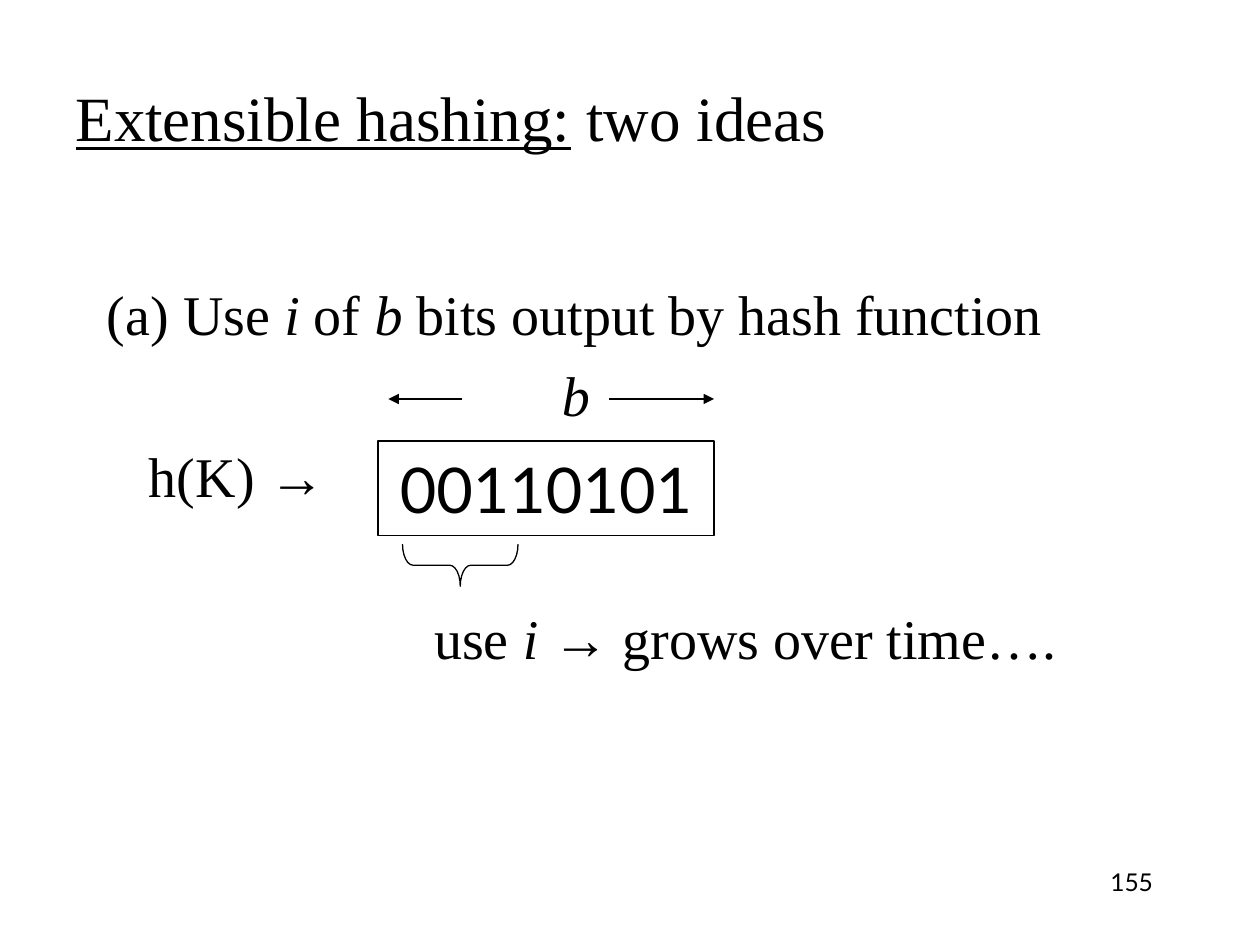
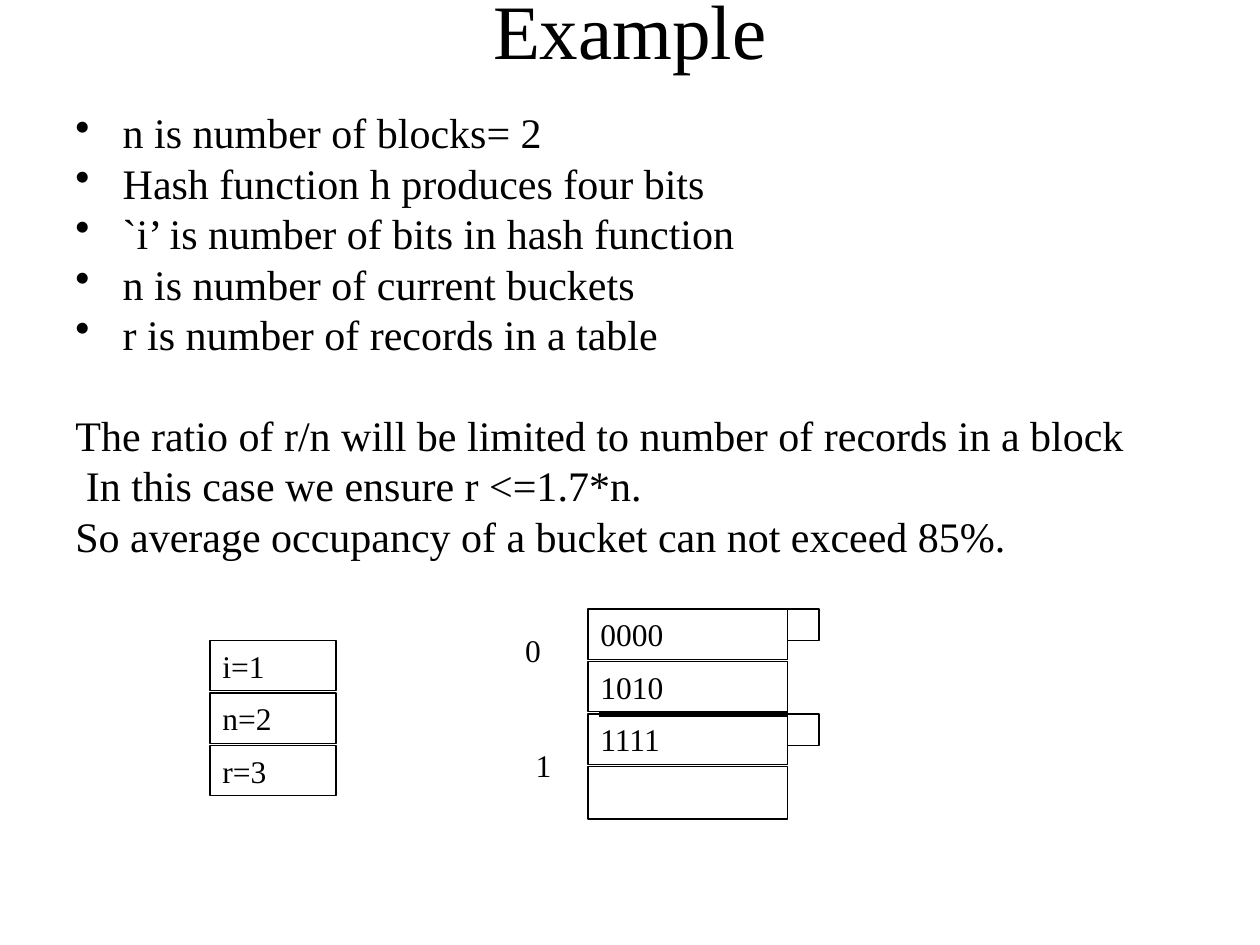
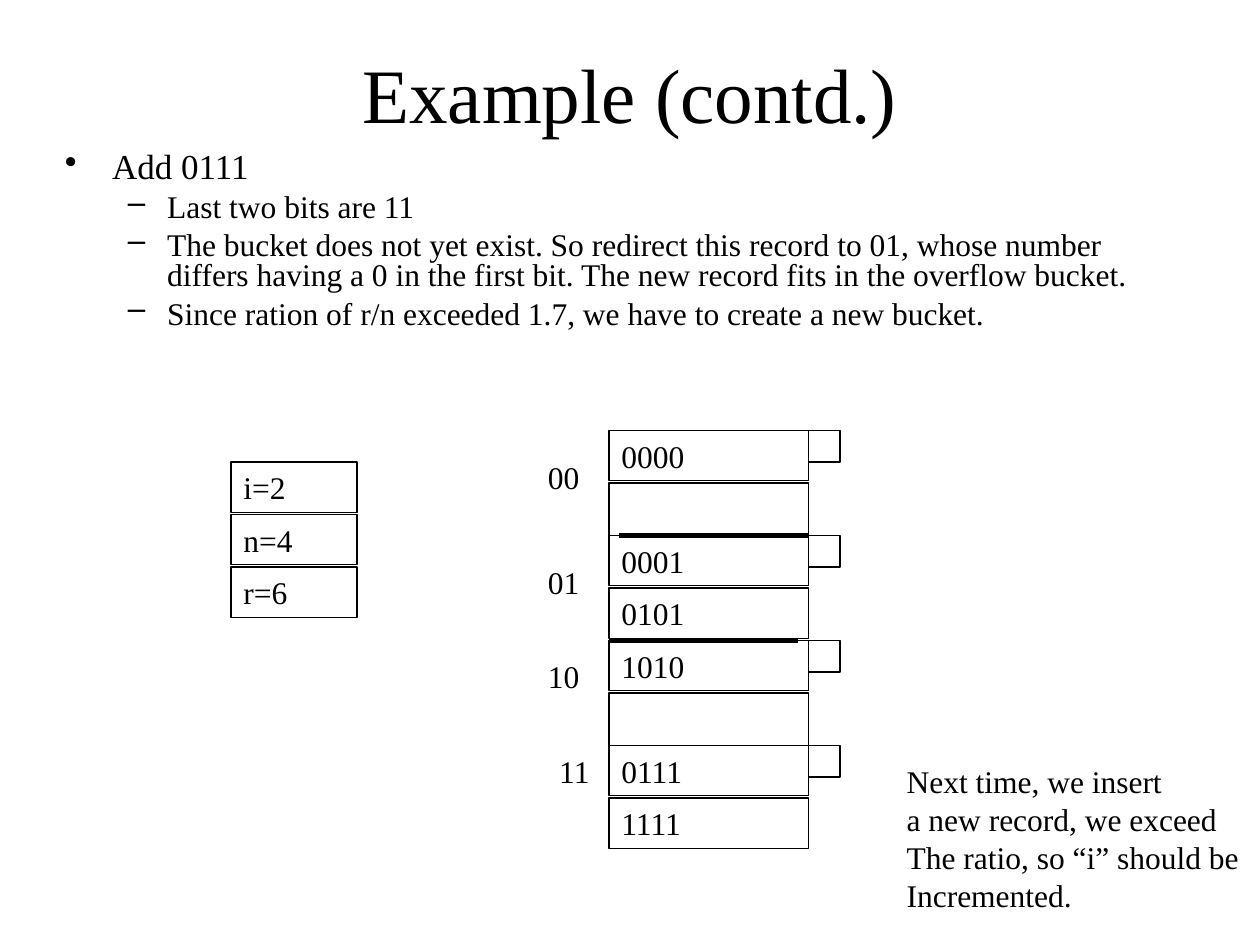
from dataclasses import dataclass

from lxml import etree
from pptx import Presentation
from pptx.dml.color import RGBColor
from pptx.enum.shapes import MSO_CONNECTOR, MSO_SHAPE
from pptx.enum.text import MSO_ANCHOR, MSO_AUTO_SIZE, PP_ALIGN
from pptx.oxml.ns import qn
from pptx.util import Pt

LEFT, CENTER, RIGHT = PP_ALIGN.LEFT, PP_ALIGN.CENTER, PP_ALIGN.RIGHT
TOP, MIDDLE = MSO_ANCHOR.TOP, MSO_ANCHOR.MIDDLE
NO_AUTOFIT = MSO_AUTO_SIZE.NONE
RECTANGLE, BRACE = MSO_SHAPE.RECTANGLE, MSO_SHAPE.RIGHT_BRACE
STRAIGHT = MSO_CONNECTOR.STRAIGHT


@dataclass(frozen=True)
class Theme:
    ink: RGBColor = RGBColor(0, 0, 0)
    paper: RGBColor = RGBColor(255, 255, 255)
    serif: str = "Times New Roman"
    sans: str = "Lato"
    symbol: str = "Arial"
    title: int = 44
    heading: int = 36
    statement: int = 32
    body: int = 24
    point: int = 20
    small: int = 18
    page_number: int = 14
    hairline: float = 0.75
    divider: float = 3
    leading: float = 1.2
    tight_leading: float = 0.96


THEME = Theme()
ITALIC = {"italic": True}
ARROW = {"name": THEME.symbol}


def write(frame, paragraphs, size, font=THEME.serif, align=LEFT, anchor=TOP, leading=THEME.leading):
    """Fill a frame; a paragraph is a string or a dict of runs, left, hang, bullet, before and size."""
    frame.word_wrap = True
    frame.auto_size = NO_AUTOFIT
    frame.vertical_anchor = anchor
    for index, content in enumerate(paragraphs):
        if isinstance(content, str):
            content = {"runs": [(content, {})]}
        paragraph = frame.paragraphs[0] if index == 0 else frame.add_paragraph()
        text_size = content.get("size", size)
        paragraph.alignment = align
        paragraph.line_spacing = Pt(text_size * leading)
        paragraph.space_before = Pt(content.get("before", 0))
        properties = paragraph._p.get_or_add_pPr()
        properties.set("marL", str(Pt(content.get("left", 0))))
        properties.set("indent", str(-Pt(content.get("hang", 0))))
        if "bullet" in content:
            etree.SubElement(properties, qn("a:buChar")).set("char", content["bullet"])
        for text, changes in content["runs"]:
            run = paragraph.add_run()
            run.text = text
            run.font.color.rgb = THEME.ink
            for attribute, value in {"name": font, "size": Pt(text_size), **changes}.items():
                setattr(run.font, attribute, value)


def add_line(slide, start, end, width, arrow=False):
    line = slide.shapes.add_connector(STRAIGHT, *map(Pt, start + end))
    line.line.color.rgb = THEME.ink
    line.line.width = Pt(width)
    if arrow:
        etree.SubElement(line.line._get_or_add_ln(), qn("a:tailEnd")).set("type", "triangle")
    etree.SubElement(line._element.spPr, qn("a:effectLst"))


prs = Presentation()
prs.slide_width, prs.slide_height = Pt(720), Pt(540)

# Titles
titles = [
    ((36, 21.6, 648, 90), THEME.heading, LEFT,
     {"runs": [("Extensible hashing:", {"underline": True}), (" two ideas", {})]}),
    ((36, 0.7, 648, 31.7), THEME.title, CENTER, "Example"),
    ((36, 21.6, 648, 62.6), THEME.title, CENTER, "Example (contd.)"),
]
for box, size, align, wording in titles:
    title = prs.slides.add_slide(prs.slide_layouts[5]).shapes.title
    title.left, title.top, title.width, title.height = map(Pt, box)
    write(title.text_frame, [wording], size, align=align, anchor=MIDDLE)
ideas, example, example_contd = prs.slides

# Body texts
hash_idea = [
    {"runs": [("(a) Use ", {}), ("i", ITALIC), (" of ", {}), ("b", ITALIC),
              (" bits output by hash function", {})]},
    {"runs": [("b", ITALIC)], "left": 260, "before": 8},
    {"runs": [("h(K) ", {}), ("→", ARROW)], "left": 24, "before": 8},
    {"runs": [("use ", {}), ("i ", ITALIC), ("→", ARROW), (" grows over time….", {})],
     "left": 187, "before": 54.4},
]
definitions = [
    {"runs": [(text, {})], "left": 27, "hang": 27, "bullet": "•"}
    for text in (
        "n is number of blocks= 2",
        "Hash function h produces four bits",
        "`i’ is number of bits in hash function",
        "n is number of current buckets",
        "r is number of records in a table",
    )
]
occupancy = [
    {"runs": [("The ratio of r/n will be limited to number of records in a block", {})],
     "before": THEME.body * THEME.leading},
    {"runs": [("In this case we ensure r <=1.7*n.", {})], "left": 6},
    "So average occupancy of a bucket can not exceed 85%.",
]
insertion = [{"runs": [("Add 0111", {})], "left": 27, "hang": 27, "bullet": "•", "size": THEME.point}]
insertion += [
    {"runs": [(text, {})], "left": 58.5, "hang": 22.5, "bullet": "–", "before": 4.5}
    for text in (
        "Last two bits are 11",
        "The bucket does not yet exist. So redirect this record to 01, whose number differs "
        "having a 0 in the first bit. The new record fits in the overflow bucket.",
        "Since ration of r/n exceeded 1.7, we have to create a new bucket.",
    )
]
next_time = ["Next time, we insert", "a new record, we exceed", "The ratio, so “i” should be",
             "Incremented."]
texts = [
    (ideas, (516, 492, 150, 36), ["155"],
     {"size": THEME.page_number, "font": THEME.sans, "align": RIGHT}),
    (ideas, (54, 156, 624, 324), hash_idea, {"size": THEME.statement}),
    (example, (36, 57.6, 630, 266.4), definitions + occupancy, {"size": THEME.body}),
    (example_contd, (30, 84, 648, 114), insertion,
     {"size": THEME.small, "leading": THEME.tight_leading}),
    (example_contd, (511, 432, 209, 93.6), next_time, {"size": THEME.small}),
]
for slide, box, paragraphs, style in texts:
    write(slide.shapes.add_textbox(*map(Pt, box)).text_frame, paragraphs, **style)

# Hash value with its width b and the i bits in use
hash_value = ideas.shapes.add_shape(RECTANGLE, Pt(216), Pt(252), Pt(192), Pt(54))
hash_value.fill.solid()
hash_value.fill.fore_color.rgb = THEME.paper
write(hash_value.text_frame, ["00110101"], THEME.heading, THEME.sans, CENTER, MIDDLE)
used_bits = ideas.shapes.add_shape(BRACE, Pt(251), Pt(290), Pt(24), Pt(66))
used_bits.rotation = 90
used_bits.adjustments[0] = 0.25
used_bits.fill.background()
outlined = [hash_value, used_bits]
for start, end in (((264, 228), (222, 228)), ((348, 228), (408, 228))):
    add_line(ideas, start, end, THEME.hairline, arrow=True)

# Counters and buckets of the two hash tables
ROW, CELL, POINTER = 30, 28.8, 18
COUNTER_WIDTH, BUCKET_WIDTH = 72, 114
hash_tables = [
    {
        "slide": example,
        "counters": (120, 366, ["i=1", "n=2", "r=3"]),
        "records": (336, 348, ["0000", "1010", "1111", ""]),
        "keys": [("0", 293, 357), ("1", 299, 423)],
        "dividers": [(342, 408)],
    },
    {
        "slide": example_contd,
        "counters": (132, 264, ["i=2", "n=4", "r=6"]),
        "records": (348, 246, ["0000", "", "0001", "0101", "1010", "", "0111", "1111"]),
        "keys": [("00", 306, 258), ("01", 306, 318), ("10", 306, 372), ("11", 312.5, 426)],
        "dividers": [(354, 306), (348, 366)],
    },
]
for table in hash_tables:
    shapes = table["slide"].shapes
    for part, width in (("counters", COUNTER_WIDTH), ("records", BUCKET_WIDTH)):
        left, top, values = table[part]
        for row, value in enumerate(values):
            y = top + row * ROW
            cell = shapes.add_shape(RECTANGLE, Pt(left), Pt(y), Pt(width), Pt(CELL if value else ROW))
            cell.fill.background()
            outlined.append(cell)
            if value:
                write(cell.text_frame, [value], THEME.small)
            if part == "records" and row % 2 == 0:
                pointer = shapes.add_shape(RECTANGLE, Pt(left + width), Pt(y), Pt(POINTER), Pt(POINTER))
                pointer.fill.background()
                outlined.append(pointer)
    for key, x, y in table["keys"]:
        label = shapes.add_textbox(Pt(x), Pt(y), Pt(15 + 9 * len(key)), Pt(CELL))
        write(label.text_frame, [key], THEME.small)
    for x, y in table["dividers"]:
        add_line(table["slide"], (x, y), (x + 108, y), THEME.divider)

for shape in outlined:
    shape.shadow.inherit = False
    shape.line.color.rgb = THEME.ink
    shape.line.width = Pt(THEME.hairline)

prs.save("out.pptx")
